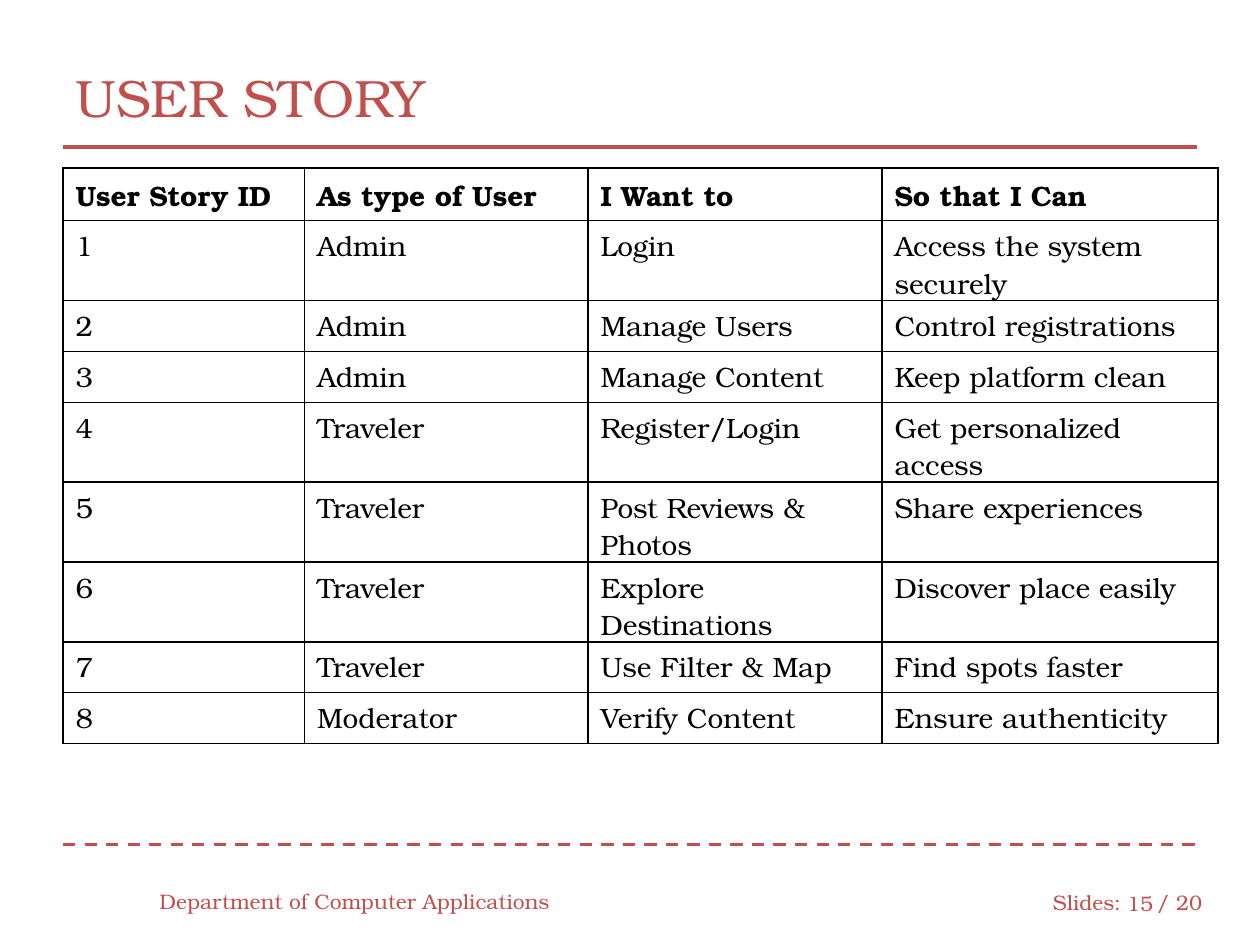
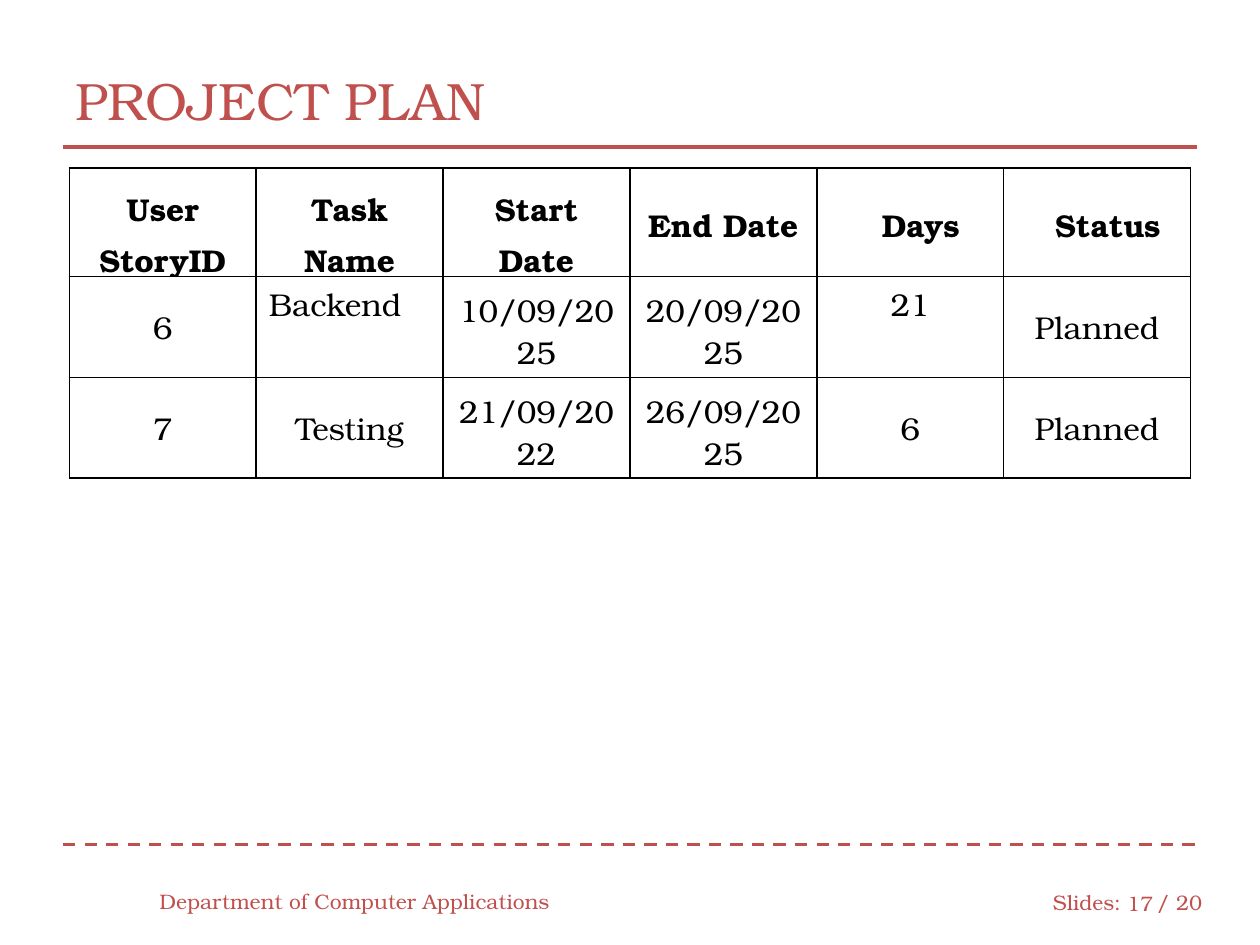
import dataclasses

import lxml.etree
import pptx
import pptx.dml.color
import pptx.enum.dml
import pptx.enum.shapes
import pptx.enum.text
import pptx.oxml.ns
import pptx.util

ALIGN = pptx.enum.text.PP_ALIGN
ANCHOR = pptx.enum.text.MSO_ANCHOR
COLORS = {"accent": "C0504D", "ink": "000000", "paper": "FFFFFF"}
FONT = "TeX Gyre Bonum"
GRID_COLUMNS, GRID_ROWS = 120, 90
SLIDE_WIDTH, SLIDE_HEIGHT = pptx.util.Inches(10), pptx.util.Inches(7.5)
TOTAL_SLIDES = 20

USER_STORIES = [
    ["User Story ID", "As type of User", "I Want to", "So that I Can"],
    ["1", "Admin", "Login", "Access the system securely"],
    ["2", "Admin", "Manage Users", "Control registrations"],
    ["3", "Admin", "Manage Content", "Keep platform clean"],
    ["4", "Traveler", "Register/Login", "Get personalized access"],
    ["5", "Traveler", "Post Reviews & Photos", "Share experiences"],
    ["6", "Traveler", "Explore Destinations", "Discover place easily"],
    ["7", "Traveler", "Use Filter & Map", "Find spots faster"],
    ["8", "Moderator", "Verify Content", "Ensure authenticity"],
]
PROJECT_TASKS = [
    ["User\nStoryID", "Task Name", "Start Date", "End Date", "Days", "Status"],
    ["6", "Backend", "10/09/2025", "20/09/2025", "21", "Planned"],
    ["7", "Testing", "21/09/2022", "26/09/2025", "6", "Planned"],
]


@dataclasses.dataclass
class Box:
    left: float
    top: float
    width: float
    height: float

    def inner(self, left, top, width, height):
        return Box(self.left + left, self.top + top, width, height)

    def lengths(self):
        return (across(self.left), down(self.top), across(self.width), down(self.height))


def across(columns):
    return round(SLIDE_WIDTH * columns / GRID_COLUMNS)


def down(rows):
    return round(SLIDE_HEIGHT * rows / GRID_ROWS)


def color(name):
    return pptx.dml.color.RGBColor.from_string(COLORS[name])


def apply(target, values):
    for name, value in values.items():
        setattr(target, name, value)


def format_paragraph(paragraph, size, color_name, bold=False, **layout):
    apply(paragraph, layout)
    for run in paragraph.runs:
        apply(run.font, {"name": FONT, "size": pptx.util.Pt(size), "bold": bold})
        run.font.color.rgb = color(color_name)


def add_label(slide, box, text, size, alignment=ALIGN.LEFT):
    frame = slide.shapes.add_textbox(*box.lengths()).text_frame
    apply(frame, {"text": text, "word_wrap": True, "vertical_anchor": ANCHOR.MIDDLE})
    format_paragraph(frame.paragraphs[0], size, "accent", alignment=alignment)


def add_rule(slide, box, dash=None):
    left, top, width, _ = box.lengths()
    rule = slide.shapes.add_connector(
        pptx.enum.shapes.MSO_CONNECTOR.STRAIGHT, left, top, left + width, top)
    apply(rule.line, {"width": pptx.util.Pt(1.75), "dash_style": dash})
    rule.line.color.rgb = color("accent")
    lxml.etree.SubElement(rule.element.spPr, pptx.oxml.ns.qn("a:effectLst"))


def add_header(slide, box, title, title_top):
    add_label(slide, box.inner(0, title_top, box.width, 11), title, 30)
    add_rule(slide, box.inner(0, box.height, box.width, 0))


def add_footer(slide, box, number):
    add_rule(slide, box, pptx.enum.dml.MSO_LINE.DASH)
    add_label(slide, box.inner(8, 3, 40, 4.8), "Department of Computer Applications", 12)
    add_label(slide, box.inner(93.1, 3.1, 9, 4.8), "Slides:", 12)
    add_label(slide, box.inner(100, 3.2, 5, 4.8), str(number), 12, ALIGN.RIGHT)
    add_label(slide, box.inner(103, 3.1, 7, 4.8), f"/ {TOTAL_SLIDES}", 12)


def outline_cell(cell):
    properties = cell._tc.get_or_add_tcPr()
    for position, side in enumerate(("lnL", "lnR", "lnT", "lnB")):
        line = lxml.etree.Element(
            pptx.oxml.ns.qn(f"a:{side}"), w=str(pptx.util.Pt(1)))
        fill = lxml.etree.SubElement(line, pptx.oxml.ns.qn("a:solidFill"))
        lxml.etree.SubElement(fill, pptx.oxml.ns.qn("a:srgbClr"), val=COLORS["ink"])
        properties.insert(position, line)


def add_grid_table(slide, box, records, column_widths, row_heights, format_cell):
    table = slide.shapes.add_table(
        len(records), len(records[0]), *box.lengths()).table
    apply(table, {"first_row": False, "horz_banding": False})
    for column, width in zip(table.columns, column_widths):
        column.width = across(width)
    for row, height in zip(table.rows, row_heights):
        row.height = down(height)
    for row_index, record in enumerate(records):
        for column_index, text in enumerate(record):
            cell = table.cell(row_index, column_index)
            cell.text = text
            cell.fill.solid()
            cell.fill.fore_color.rgb = color("paper")
            outline_cell(cell)
            format_cell(cell, row_index, column_index)


def format_story_cell(cell, row, column):
    format_paragraph(cell.text_frame.paragraphs[0], 16, "ink", bold=row == 0)


def format_task_cell(cell, row, column):
    name = PROJECT_TASKS[row][column]
    if name not in ("Backend", "21"):
        margin = pptx.util.Inches(0.1)
        apply(cell, {"vertical_anchor": ANCHOR.MIDDLE,
                     "margin_top": margin, "margin_bottom": margin})
    if name in ("Days", "Status"):
        cell.margin_left = pptx.util.Inches(0.27)
    for paragraph in cell.text_frame.paragraphs:
        format_paragraph(
            paragraph, 18, "ink", bold=row == 0,
            alignment=ALIGN.LEFT if name == "Backend" else ALIGN.CENTER,
            line_spacing=1.1 if row == 0 else 1.0)


def add_page(presentation, title, number, title_top):
    slide = presentation.slides.add_slide(presentation.slide_layouts[6])
    add_header(slide, Box(6, 0, 108, 14), title, title_top)
    add_footer(slide, Box(6, 80.4, 108, 9), number)
    return slide


def build_user_story(presentation):
    slide = add_page(presentation, "USER STORY", 15, 3.7)
    add_grid_table(slide, Box(6, 16, 110, 44), USER_STORIES, (23, 27, 28, 32),
                   [5] + [4.86] * 8, format_story_cell)


def build_project_plan(presentation):
    slide = add_page(presentation, "PROJECT PLAN", 17, 4)
    add_grid_table(slide, Box(6.6, 16, 106.8, 29), PROJECT_TASKS, [17.8] * 6,
                   (9.8, 7.8, 7.8), format_task_cell)


def main():
    presentation = pptx.Presentation()
    apply(presentation, {"slide_width": SLIDE_WIDTH, "slide_height": SLIDE_HEIGHT})
    build_user_story(presentation)
    build_project_plan(presentation)
    presentation.save("out.pptx")


if __name__ == "__main__":
    main()
